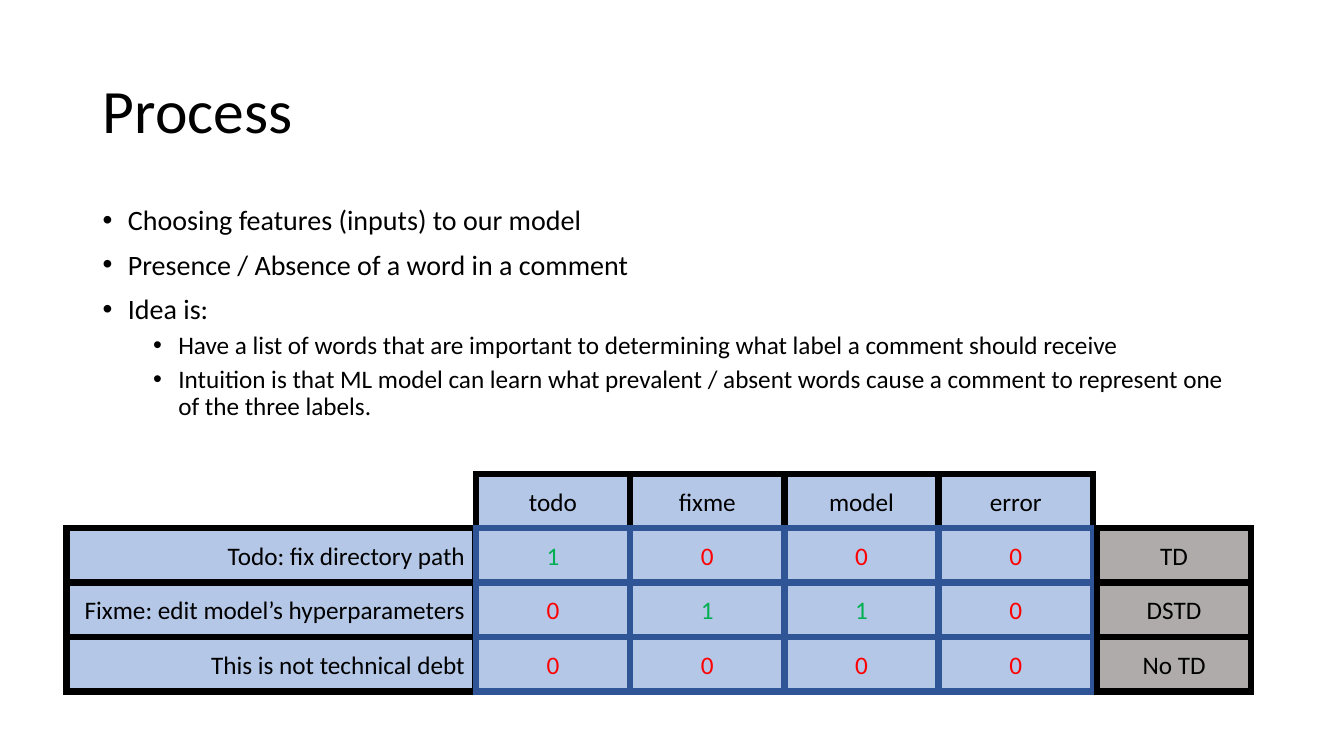
"""Build the Process slide: bullets above a word-presence matrix."""
from lxml.etree import SubElement
from pptx import Presentation
from pptx.dml.color import RGBColor
from pptx.enum.shapes import MSO_SHAPE as SHAPE
from pptx.enum.text import MSO_ANCHOR as ANCHOR, PP_ALIGN as ALIGN
from pptx.oxml.ns import qn
from pptx.util import Inches, Pt

COLORS = {"black": "000000", "pale_blue": "B4C7E7", "dark_blue": "2F5597",
          "gray": "AFABAB", "present": "00B050", "absent": "FF0000"}
LEFT, TOP = 4.72, 5.24
COL_W, ROW_H = 1.53, 0.54
COMMENT_X, COMMENT_W, LABEL_X = 0.66, 4.05, 10.88


def write(paragraph, text, size=18, color="black", align=ALIGN.CENTER):
    paragraph.alignment = align
    run = paragraph.add_run()
    run.text = text
    run.font.name = "Calibri"
    run.font.size = Pt(size)
    run.font.color.rgb = RGBColor.from_string(COLORS[color])


def add_box(x, y, width=COL_W, height=ROW_H, fill="pale_blue", line="black", text="", **style):
    box = slide.shapes.add_shape(SHAPE.RECTANGLE, Inches(x), Inches(y), Inches(width), Inches(height))
    box.shadow.inherit = False
    box.fill.solid()
    box.fill.fore_color.rgb = RGBColor.from_string(COLORS[fill])
    box.line.color.rgb = RGBColor.from_string(COLORS[line])
    box.line.width = Pt(4.5)
    SubElement(box.line._get_or_add_ln(), qn("a:miter"), lim="800000")
    if text:
        box.text_frame.vertical_anchor = ANCHOR.MIDDLE
        write(box.text_frame.paragraphs[0], text, **style)


prs = Presentation()
prs.slide_width, prs.slide_height = Inches(13.33), Inches(7.5)
slide = prs.slides.add_slide(prs.slide_layouts[5])

title = slide.shapes.title
title.left, title.top, title.width, title.height = Inches(0.92), Inches(0.4), Inches(11.5), Inches(1.45)
title.text_frame.vertical_anchor = ANCHOR.MIDDLE
heading = title.text_frame.paragraphs[0]
heading.line_spacing = 0.9
write(heading, "Process", size=44, align=ALIGN.LEFT)

bullets = [
    (0, "Choosing features (inputs) to our model"),
    (0, "Presence / Absence of a word in a comment"),
    (0, "Idea is:"),
    (1, "Have a list of words that are important to determining what label a comment should receive"),
    (1, "Intuition is that ML model can learn what prevalent / absent words cause a comment "
        "to represent one of the three labels."),
]
body = slide.shapes.add_textbox(Inches(0.92), Inches(2), Inches(11.5), Inches(2.29)).text_frame
body.word_wrap = True
for index, (level, text) in enumerate(bullets):
    bullet = body.add_paragraph() if index else body.paragraphs[0]
    bullet.level = level
    bullet.line_spacing = 0.9
    bullet.space_before = Pt(5 if level else 10)
    write(bullet, text, size=18 if level else 20, align=ALIGN.LEFT)
    properties = bullet._p.get_or_add_pPr()
    properties.set("marL", str(Inches(0.25 + 0.5 * level)))
    properties.set("indent", str(Inches(-0.25)))
    SubElement(properties, qn("a:buFont"), typeface="Arial")
    SubElement(properties, qn("a:buChar"), char="•")

words = ["todo", "fixme", "model", "error"]
comments = [
    ("Todo: fix directory path", "1000", "TD"),
    ("Fixme: edit model’s hyperparameters", "0110", "DSTD"),
    ("This is not technical debt", "0000", "No TD"),
]
add_box(LEFT, TOP, width=COL_W * len(words), height=ROW_H * len(comments), line="dark_blue")
for col, word in enumerate(words):
    add_box(LEFT + col * COL_W, TOP - ROW_H, text=word)
for row, (comment, presence, label) in enumerate(comments):
    y = TOP + row * ROW_H
    add_box(COMMENT_X, y, width=COMMENT_W, text=comment, align=ALIGN.RIGHT)
    for col, value in enumerate(presence):
        add_box(LEFT + col * COL_W, y, line="dark_blue", text=value,
                color="present" if value == "1" else "absent")
    add_box(LABEL_X, y, fill="gray", text=label)

prs.save("out.pptx")
